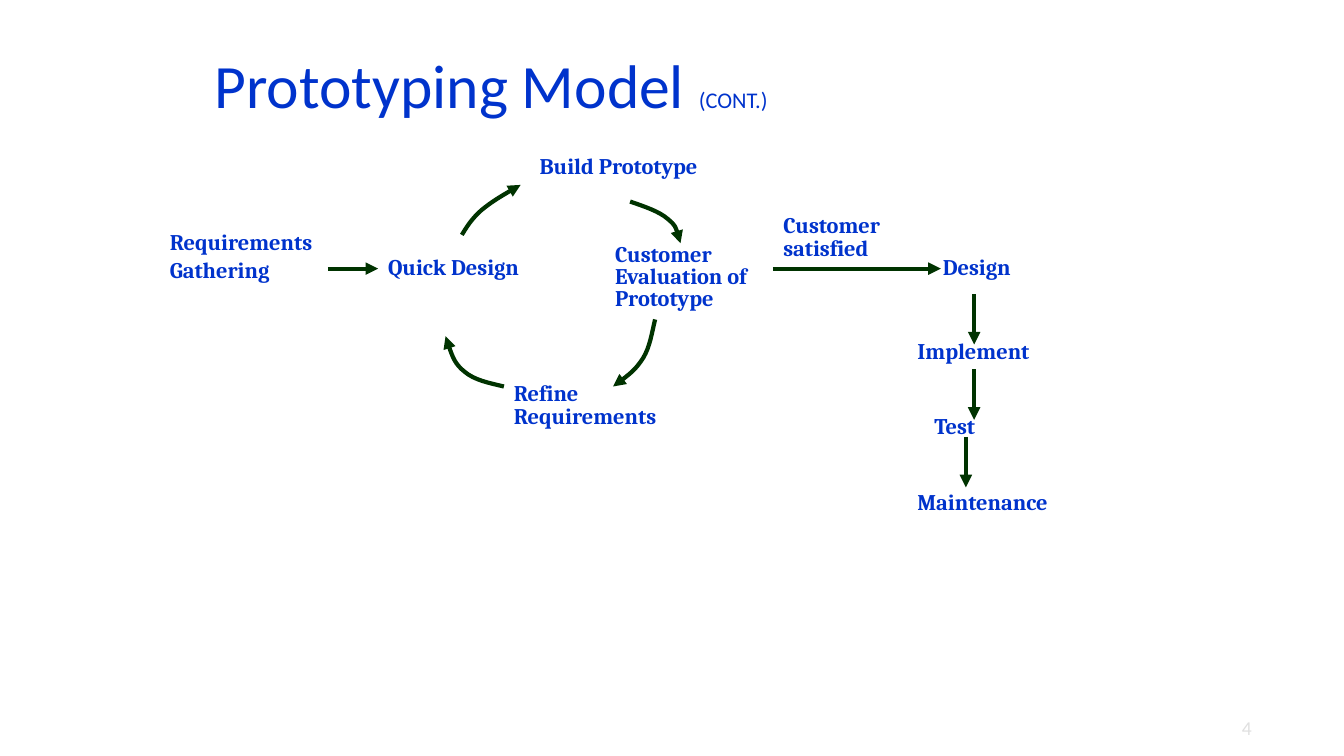
from lxml.etree import SubElement
from pptx import Presentation
from pptx.dml.color import RGBColor
from pptx.enum.shapes import MSO_CONNECTOR
from pptx.enum.text import MSO_ANCHOR, PP_ALIGN
from pptx.oxml.ns import qn
from pptx.util import Cm, Pt

BLUE = RGBColor(0x00, 0x33, 0xCC)
GREEN = RGBColor(0x00, 0x33, 0x00)
GRAY = RGBColor(0xE0, 0xE0, 0xE0)

TITLE = [("Prototyping Model ", 44), ("(CONT.)", 16)]
PAGE = "4"

LABELS = [
    (["Requirements", "Gathering"], 4.23, 5.72, 3.9, 2.36, 0.85),
    (["Quick Design"], 9.73, 6.35, 3.81, 0.94, 0.85),
    (["Refine Requirements"], 12.9, 9.53, 4.45, 1.6, 0.85),
    (["Build Prototype"], 13.55, 3.81, 4.22, 1.6, 0.85),
    (["Customer", "Evaluation of", "Prototype"], 15.45, 6.14, 4.45, 2.34, 0.63),
    (["Customer satisfied"], 19.69, 5.29, 4.22, 1.6, 0.85),
    (["Design"], 23.71, 6.35, 3.18, 0.94, 0.85),
    (["Implement"], 23.07, 8.47, 3.18, 0.94, 0.85),
    (["Test"], 23.5, 10.37, 3.18, 0.94, 0.85),
    (["Maintenance"], 23.07, 12.28, 3.81, 0.94, 0.85),
]

ROW = 6.77
ACROSS = [(8.26, 9.53), (19.48, 23.71)]
DROP = 1.27
DOWN = [(24.55, 7.41), (24.55, 9.31), (24.34, 11.01)]

CURVES = [
    [(11.64, 5.92), (11.76, 5.72), (11.89, 5.51), (12.14, 5.29),
     (12.4, 5.08), (12.75, 4.87), (13.12, 4.66)],
    [(15.88, 5.08), (16.26, 5.21), (16.61, 5.33), (16.82, 5.51),
     (17.04, 5.69), (17.09, 5.89), (17.15, 6.13)],
    [(16.51, 8.05), (16.43, 8.38), (16.38, 8.74), (16.21, 9.02),
     (16.03, 9.3), (15.75, 9.53), (15.45, 9.74)],
    [(12.7, 9.74), (12.32, 9.65), (11.96, 9.58), (11.71, 9.37),
     (11.46, 9.17), (11.33, 8.81), (11.23, 8.47)],
]

deck = Presentation()
deck.slide_width, deck.slide_height = Cm(33.87), Cm(19.05)
slide = deck.slides.add_slide(deck.slide_layouts[6])
shapes = slide.shapes


def add_box(left, top, width, height):
    frame = shapes.add_textbox(Cm(left), Cm(top), Cm(width), Cm(height)).text_frame
    frame.word_wrap = True
    frame.margin_left = frame.margin_right = Cm(0.05)
    frame.margin_top = frame.margin_bottom = Cm(0.13)
    return frame


def add_run(para, text, size, face, color, bold=False):
    run = para.add_run()
    run.text = text
    font = run.font
    font.size, font.name, font.bold = Pt(size), face, bold
    font.color.rgb = color


def add_label(lines, left, top, width, height, pitch):
    frame = add_box(left, top, width, height)
    for i, text in enumerate(lines):
        para = frame.add_paragraph() if i else frame.paragraphs[0]
        para.line_spacing = pitch
        para.space_before = Pt(3.6 if i else 0)
        add_run(para, text, 16, "Cambria", BLUE, True)


def style_line(shape):
    shape.line.color.rgb = GREEN
    shape.line.width = Pt(3)
    SubElement(shape.line._get_or_add_ln(), qn("a:tailEnd"), type="triangle")


def add_arrow(x1, y1, x2, y2):
    arrow = shapes.add_connector(MSO_CONNECTOR.STRAIGHT, Cm(x1), Cm(y1), Cm(x2), Cm(y2))
    style_line(arrow)
    SubElement(arrow._element.spPr, qn("a:effectLst"))


def add_curve(points):
    start, *rest = [(Cm(x), Cm(y)) for x, y in points]
    form = shapes.build_freeform(*start)
    form.add_line_segments(rest, close=False)
    curve = form.convert_to_shape()
    curve.fill.background()
    style_line(curve)
    curve.shadow.inherit = False
    steps = curve._element.xpath(".//a:lnTo")
    route = steps[0].getparent()
    for i in range(0, len(steps), 3):
        bend = SubElement(route, qn("a:cubicBezTo"))
        for step in steps[i:i + 3]:
            bend.append(step[0])
            route.remove(step)


head = add_box(5.36, 0.64, 21.59, 3.18)
head.vertical_anchor = MSO_ANCHOR.MIDDLE
para = head.paragraphs[0]
para.line_spacing = 0.9
for text, size in TITLE:
    add_run(para, text, size, "Calibri", BLUE)

for label in LABELS:
    add_label(*label)
for x1, x2 in ACROSS:
    add_arrow(x1, ROW, x2, ROW)
for x, y in DOWN:
    add_arrow(x, y, x, y + DROP)
for points in CURVES:
    add_curve(points)

para = add_box(29.0, 17.9, 2.6, 0.9).paragraphs[0]
para.alignment = PP_ALIGN.RIGHT
add_run(para, PAGE, 14, "Calibri", GRAY)

deck.save("out.pptx")
